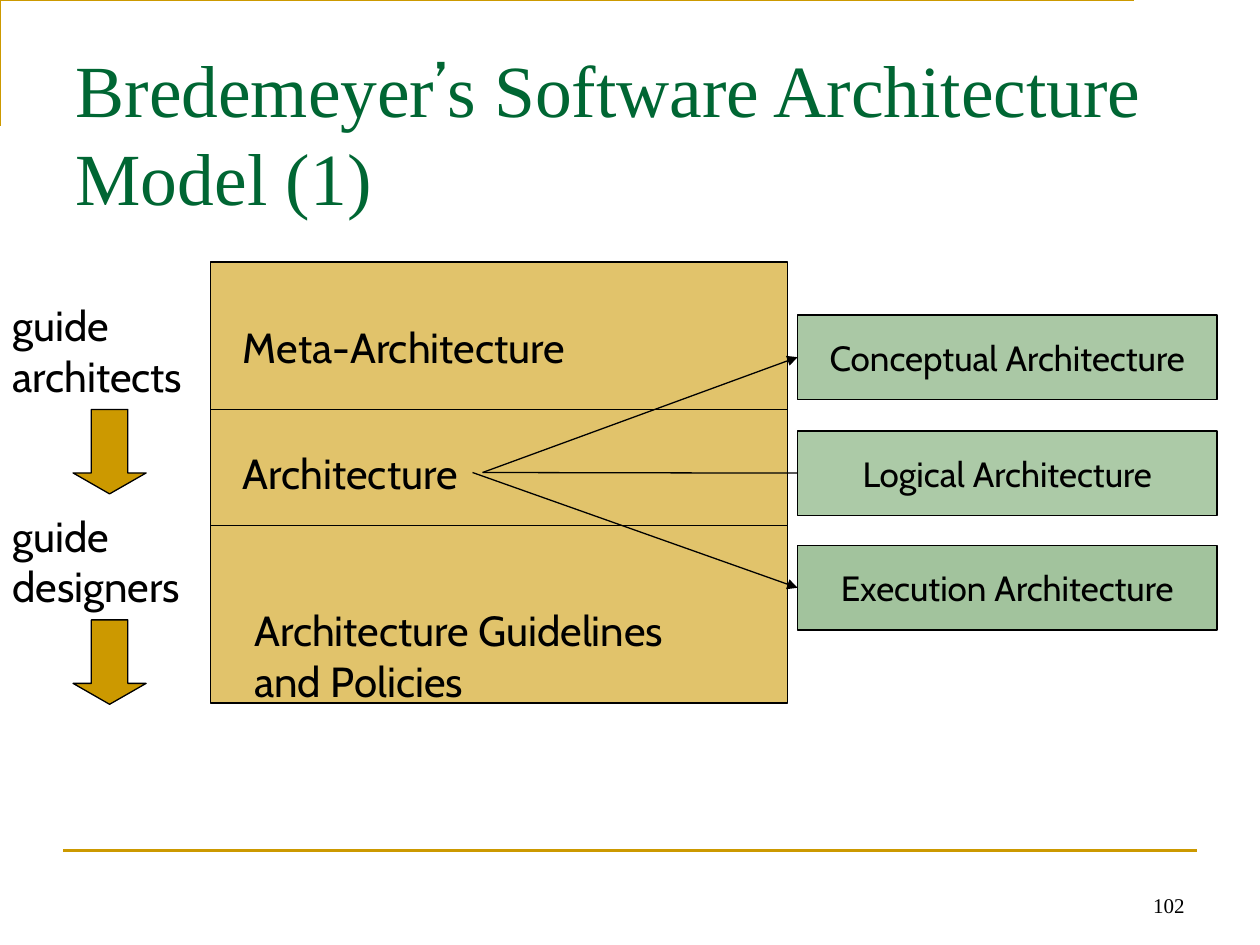
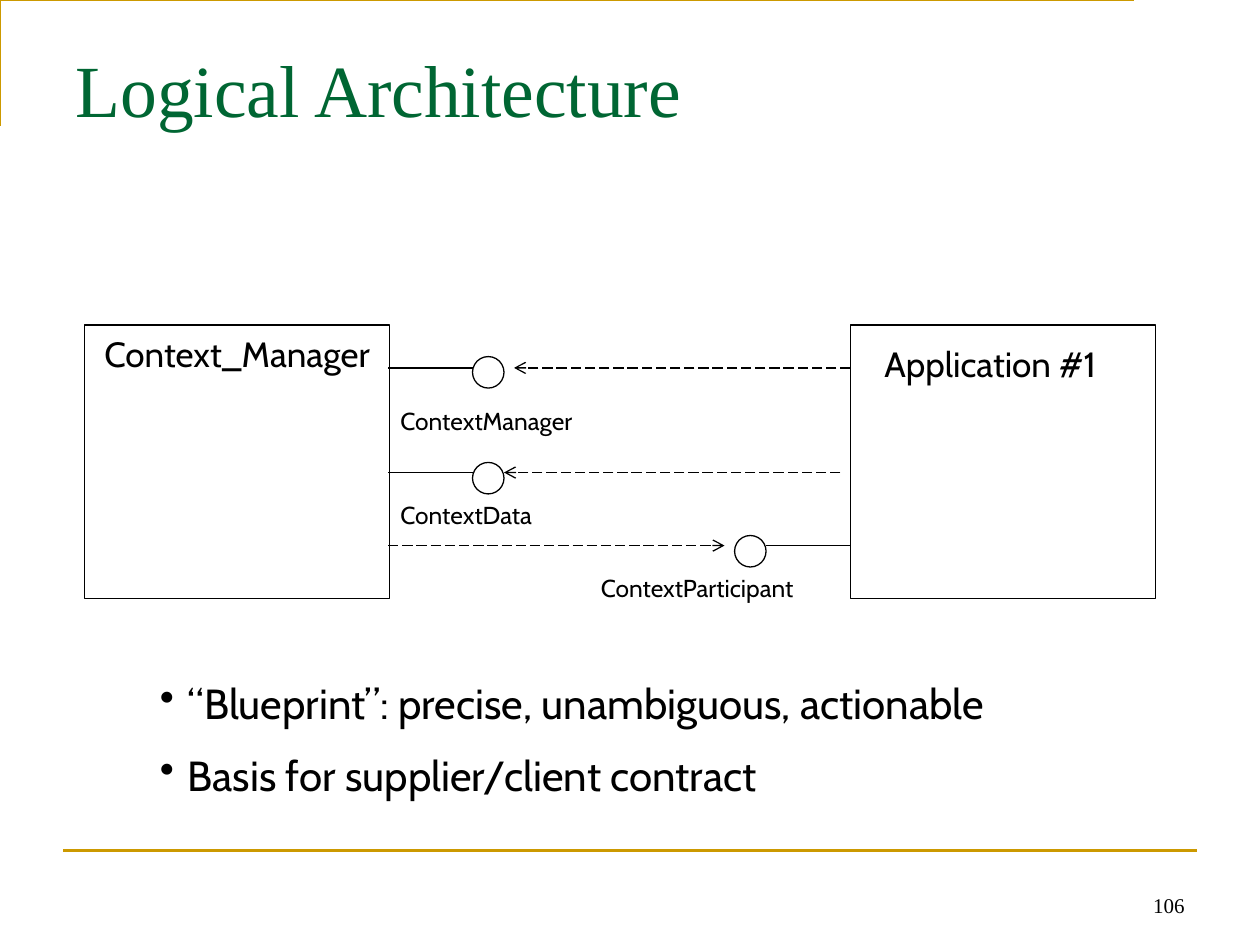
from lxml import etree
from pptx import Presentation
from pptx.dml.color import RGBColor
from pptx.enum.dml import MSO_LINE
from pptx.enum.shapes import MSO_CONNECTOR, MSO_SHAPE
from pptx.enum.text import MSO_ANCHOR, PP_ALIGN
from pptx.oxml.ns import qn
from pptx.util import Inches, Pt

RECT, OVAL, DOWN_ARROW = MSO_SHAPE.RECTANGLE, MSO_SHAPE.OVAL, MSO_SHAPE.DOWN_ARROW
STRAIGHT, LONG_DASH = MSO_CONNECTOR.STRAIGHT, MSO_LINE.LONG_DASH
LEFT, CENTER, RIGHT = PP_ALIGN.LEFT, PP_ALIGN.CENTER, PP_ALIGN.RIGHT
TOP, MIDDLE, BOTTOM = MSO_ANCHOR.TOP, MSO_ANCHOR.MIDDLE, MSO_ANCHOR.BOTTOM
CABIN, TIMES = "Cabin", "Times New Roman"
BLACK, GOLD, GREEN, DARK_GREEN = "000000", "CC9900", "3B812F", "006633"


def style(shape, line=BLACK, width=0.75, fill=None, alpha=100, dash=None, tail=None):
    spPr = shape.element.spPr
    if fill:
        shape.fill.solid()
        shape.fill.fore_color.rgb = RGBColor.from_string(fill)
        if alpha < 100:
            clr = spPr.find(qn("a:solidFill"))[0]
            etree.SubElement(clr, qn("a:alpha"), val=str(alpha * 1000))
    elif hasattr(shape, "fill"):
        shape.fill.background()
    shape.line.color.rgb = RGBColor.from_string(line)
    shape.line.width = Pt(width)
    if dash:
        shape.line.dash_style = dash
    if tail:
        etree.SubElement(spPr.find(qn("a:ln")), qn("a:tailEnd"), type=tail)
    etree.SubElement(spPr, qn("a:effectLst"))


def write(tf, text, size=24, font=CABIN, color=BLACK, align=LEFT, anchor=TOP,
          wrap=True, bullet=None, gap=12):
    tf.word_wrap = wrap
    tf.vertical_anchor = anchor
    for i, line in enumerate(text.split("\n")):
        p = tf.add_paragraph() if i else tf.paragraphs[0]
        p.alignment = align
        if i:
            p.space_before = Pt(gap)
        if bullet:
            pPr = p._p.get_or_add_pPr()
            pPr.set("marL", str(Inches(0.22)))
            pPr.set("indent", str(-Inches(0.22)))
            etree.SubElement(pPr, qn("a:buChar"), char=bullet)
        for piece in filter(None, line.partition("’")):
            r = p.add_run()
            r.text = piece
            r.font.size = Pt(size)
            r.font.name = CABIN if piece == "’" else font
            r.font.color.rgb = RGBColor.from_string(color)


prs = Presentation()
prs.slide_width, prs.slide_height = Inches(10), Inches(7.5)

slides = []
for title, number in [("Bredemeyer’s Software Architecture Model (1)", "102"),
                      ("Logical Architecture", "106")]:
    s = prs.slides.add_slide(prs.slide_layouts[5])
    slides.append(s)
    corner = s.shapes.build_freeform(0.42, 0.92, scale=Inches(1))
    corner.add_line_segments([(0.42, 0.25), (9.42, 0.25)], close=False)
    style(corner.convert_to_shape(), GOLD, 1.5)
    rule = s.shapes.add_connector(STRAIGHT, Inches(0.5), Inches(6.75), Inches(9.5), Inches(6.75))
    style(rule, GOLD, 1.5)
    sp = s.shapes.title
    sp.left, sp.top, sp.width, sp.height = Inches(0.5), Inches(0.3), Inches(9), Inches(1.25)
    write(sp.text_frame, title, size=42, font=TIMES, color=DARK_GREEN)
    sp = s.shapes.add_textbox(Inches(7.17), Inches(6.83), Inches(2.33), Inches(0.5))
    write(sp.text_frame, number, size=12, font=TIMES, align=RIGHT, anchor=BOTTOM)

model, logical = slides

sp = model.shapes.add_shape(RECT, Inches(1.67), Inches(2.08), Inches(4.58), Inches(3.5))
style(sp, fill=GOLD, alpha=58)
for y in (3.25, 4.17):
    style(model.shapes.add_connector(STRAIGHT, Inches(1.67), Inches(y), Inches(6.25), Inches(y)))

for text, y in [("guide architects", 2.33), ("guide designers", 4)]:
    sp = model.shapes.add_textbox(0, Inches(y), Inches(1.67), Inches(0.9))
    write(sp.text_frame, text)
    sp = model.shapes.add_shape(DOWN_ARROW, Inches(0.58), Inches(y + 0.92), Inches(0.58), Inches(0.67))
    sp.adjustments[1] = 0.286
    style(sp, fill=GOLD)

for text, x, y, w, h in [("Meta-Architecture", 1.83, 2.5, 3.92, 0.5),
                         ("Architecture", 1.83, 3.5, 2.75, 0.5),
                         ("Architecture Guidelines and Policies", 1.92, 4.75, 3.58, 0.9)]:
    sp = model.shapes.add_textbox(Inches(x), Inches(y), Inches(w), Inches(h))
    write(sp.text_frame, text)

views = [("Conceptual Architecture", 2.5, 43, 3.83, "triangle"),
         ("Logical Architecture", 3.42, 42, 3.83, None),
         ("Execution Architecture", 4.33, 47, 3.75, "triangle")]
for text, y, alpha, start, tail in views:
    sp = model.shapes.add_shape(RECT, Inches(6.33), Inches(y), Inches(3.33), Inches(0.67))
    style(sp, fill=GREEN, alpha=alpha)
    write(sp.text_frame, text, size=20, align=CENTER, anchor=MIDDLE, wrap=False)
    link = model.shapes.add_connector(STRAIGHT, Inches(start), Inches(3.75), Inches(6.33), Inches(3.75))
    link.end_connect(sp, 1)
    style(link, tail=tail)

for x in (0.67, 6.75):
    style(logical.shapes.add_shape(RECT, Inches(x), Inches(2.58), Inches(2.42), Inches(2.17)))

interfaces = [(3.75, 2.83), (3.75, 3.67), (5.83, 4.25)]
for x, y in interfaces:
    style(logical.shapes.add_shape(OVAL, Inches(x), Inches(y), Inches(0.25), Inches(0.25)))

for x1, x2, y, dash, tail in [(3.75, 3.08, 2.92, None, None),
                              (3.75, 3.08, 3.75, None, None),
                              (6.08, 6.75, 4.33, None, None),
                              (6.75, 4.08, 2.92, LONG_DASH, "arrow"),
                              (6.67, 4, 3.75, LONG_DASH, "arrow"),
                              (3.08, 5.75, 4.33, LONG_DASH, "arrow")]:
    link = logical.shapes.add_connector(STRAIGHT, Inches(x1), Inches(y), Inches(x2), Inches(y))
    style(link, dash=dash, tail=tail)

for text, x, y, w, h, size, wrap in [
        ("Context_Manager", 0.73, 2.59, 2.35, 0.43, 20, False),
        ("Application #1", 6.92, 2.67, 2.58, 0.43, 20, True),
        ("ContextManager", 3.08, 3.17, 3.33, 0.33, 14, True),
        ("ContextData", 3.08, 3.92, 3.33, 0.33, 14, True),
        ("ContextParticipant", 4.67, 4.5, 3.33, 0.33, 14, True)]:
    sp = logical.shapes.add_textbox(Inches(x), Inches(y), Inches(w), Inches(h))
    write(sp.text_frame, text, size=size, wrap=wrap)

sp = logical.shapes.add_textbox(Inches(1.17), Inches(5.33), Inches(7.92), Inches(1.1))
write(sp.text_frame, "“Blueprint”: precise, unambiguous, actionable\nBasis for supplier/client contract",
      bullet="•")

prs.save("out.pptx")
